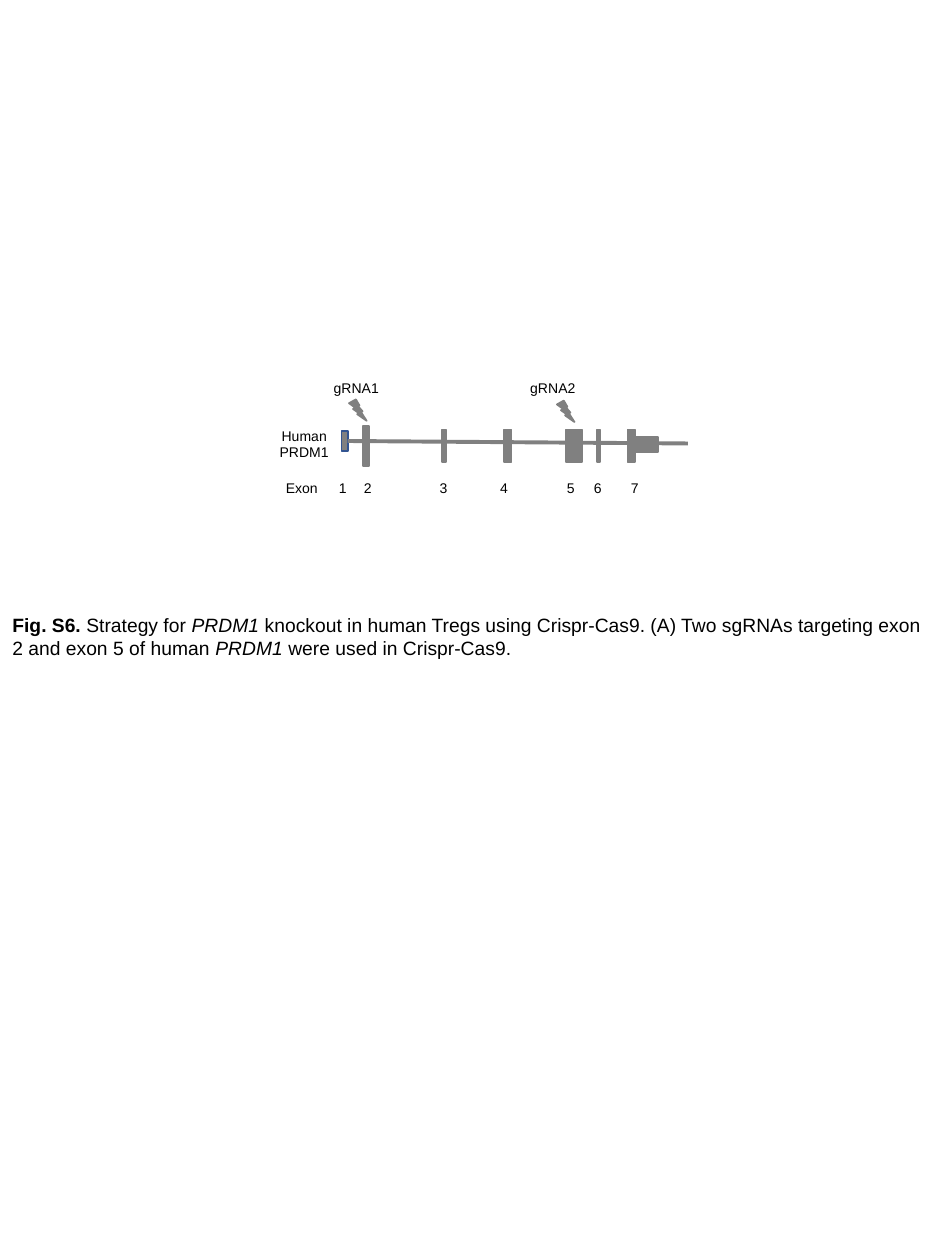
import dataclasses

import pptx
import pptx.dml.color
import pptx.enum.shapes
import pptx.enum.text
import pptx.oxml.ns
import pptx.slide
import pptx.util
from lxml import etree

Inches = pptx.util.Inches
KIND = pptx.enum.shapes.MSO_SHAPE
ALIGN = pptx.enum.text.PP_ALIGN
COLORS = {"gene": "808080", "edge": "325491", "text": "000000"}


@dataclasses.dataclass
class Mark:
    left: float
    top: float
    width: float
    height: float
    edge: str = "gene"
    kind: KIND = KIND.RECTANGLE


@dataclasses.dataclass
class Label:
    text: str
    left: float
    top: float
    width: float
    height: float = 0.24
    align: ALIGN = ALIGN.LEFT


def color(name: str) -> pptx.dml.color.RGBColor:
    return pptx.dml.color.RGBColor.from_string(COLORS[name])


def draw_mark(slide: pptx.slide.Slide, mark: Mark) -> None:
    box = map(Inches, (mark.left, mark.top, mark.width, mark.height))
    shape = slide.shapes.add_shape(mark.kind, *box)
    shape.shadow.inherit = False
    shape.fill.solid()
    shape.fill.fore_color.rgb = color("gene")
    shape.line.color.rgb = color(mark.edge)
    shape.line.width = pptx.util.Pt(1)


def draw_text(slide: pptx.slide.Slide, label: Label, size: float = 8,
              runs: tuple[tuple[str, str], ...] = ()) -> None:
    """Draw a label; runs, if given, are (text, style) pairs replacing its text."""
    box = map(Inches, (label.left, label.top, label.width, label.height))
    frame = slide.shapes.add_textbox(*box).text_frame
    frame.word_wrap = True
    frame.auto_size = pptx.enum.text.MSO_AUTO_SIZE.SHAPE_TO_FIT_TEXT
    para = frame.paragraphs[0]
    para.alignment = label.align
    para.font.name = "Arial"
    para.font.size = pptx.util.Pt(size)
    para.font.color.rgb = color("text")
    for text, style in runs or ((label.text, ""),):
        run = para.add_run()
        run.text = text
        if style == "bold":
            run.font.bold = True
        elif style == "italic":
            run.font.italic = True


def draw_gene(slide: pptx.slide.Slide) -> None:
    ends = map(Inches, (2.76, 3.5, 5.46, 3.52))
    line = slide.shapes.add_connector(
        pptx.enum.shapes.MSO_CONNECTOR.STRAIGHT, *ends)
    line.line.color.rgb = color("gene")
    line.line.width = pptx.util.Pt(2.25)
    props = line._element.spPr
    etree.SubElement(props, pptx.oxml.ns.qn("a:effectLst"))


def main() -> None:
    deck = pptx.Presentation()
    deck.slide_width, deck.slide_height = Inches(7.5), Inches(10)
    slide = deck.slides.add_slide(deck.slide_layouts[6])

    # Exons: the first two differ in height, the rest share one row
    exons = [Mark(2.71, 3.42, 0.05, 0.16, "edge"), Mark(2.88, 3.38, 0.05, 0.32)]
    row = ((3.51, 0.03), (4, 0.06), (4.49, 0.13), (4.74, 0.02), (4.98, 0.06))
    exons += [Mark(left, 3.41, width, 0.26) for left, width in row]
    tail = Mark(5.04, 3.47, 0.18, 0.12)
    for mark in (*exons, tail):
        draw_mark(slide, mark)
    draw_gene(slide)

    # Exon numbers
    spots = ((2.59, 0.25), (2.79, 0.23), (3.39, 0.28), (3.87, 0.31),
             (4.4, 0.24), (4.59, 0.31), (4.91, 0.3))
    for num, (left, width) in enumerate(spots, 1):
        align = ALIGN.CENTER if num in (5, 6) else ALIGN.LEFT
        draw_text(slide, Label(str(num), left, 3.76, width, align=align))
    draw_text(slide, Label("Exon", 2.17, 3.76, 0.46))

    # Guide RNA cut sites
    for left, top in ((2.77, 3.17), (4.42, 3.18)):
        draw_mark(slide, Mark(left, top, 0.14, 0.17, kind=KIND.LIGHTNING_BOLT))
    for text, left in (("gRNA1", 2.55), ("gRNA2", 4.11)):
        draw_text(slide, Label(text, left, 2.96, 0.67))

    # Gene name and caption
    draw_text(slide, Label("Human PRDM1", 2.06, 3.34, 0.71, 0.37, ALIGN.CENTER))
    draw_text(slide, Label("", 0, 4.82, 7.5, 0.47), 11, (
        ("Fig. S6.", "bold"),
        (" Strategy for ", ""),
        ("PRDM1 ", "italic"),
        ("knockout in human Tregs using Crispr-Cas9. (A) Two sgRNAs "
         "targeting exon 2 and exon 5 of human ", ""),
        ("PRDM1", "italic"),
        (" were used in Crispr-Cas9.", ""),
    ))
    deck.save("out.pptx")


if __name__ == "__main__":
    main()
